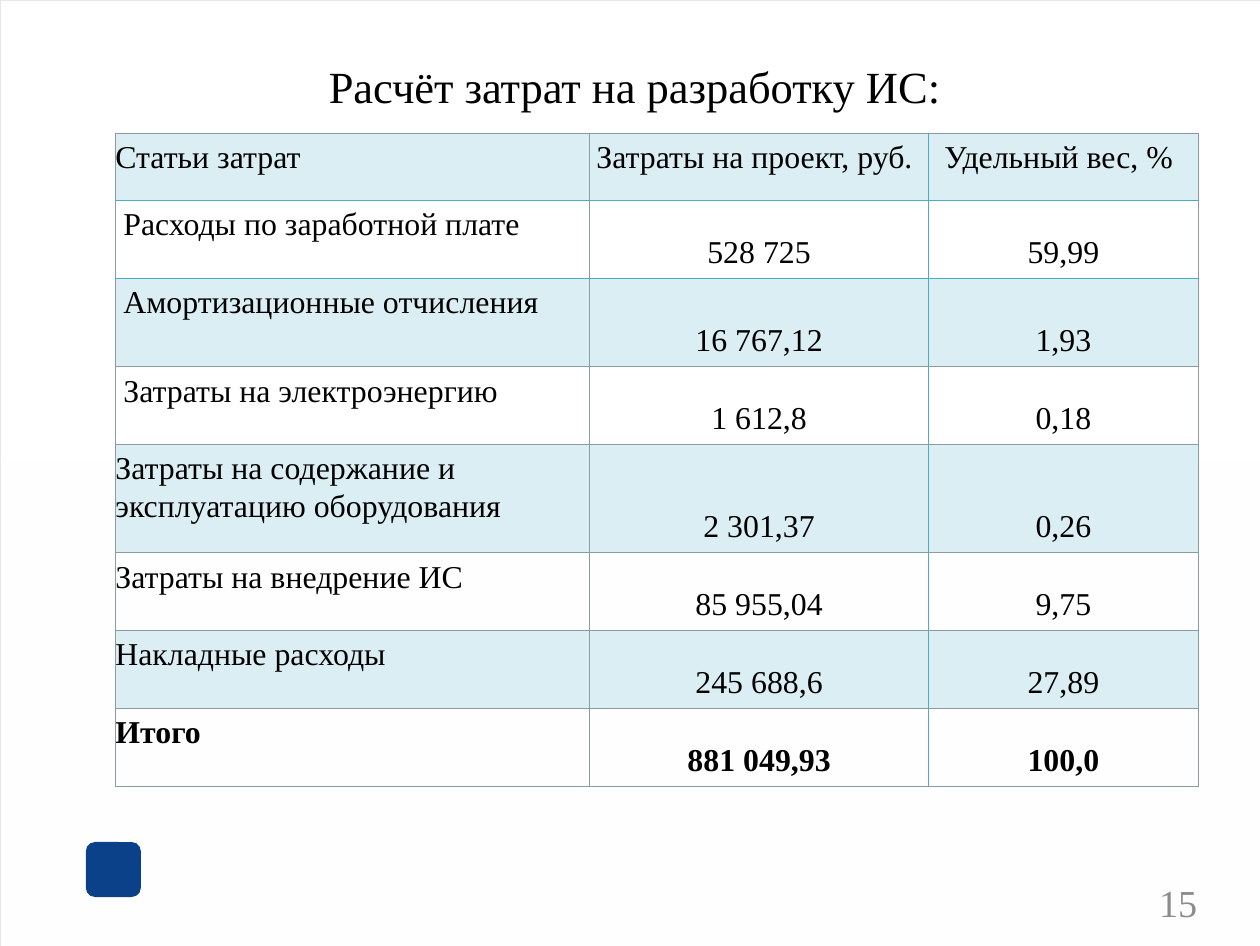
import pptx
import pptx.util
import pptx.dml.color
import pptx.enum.shapes
import pptx.enum.text
import pptx.oxml

Pt = pptx.util.Pt
ALIGN = pptx.enum.text.PP_ALIGN
ANCHOR = pptx.enum.text.MSO_ANCHOR
SHAPE = pptx.enum.shapes.MSO_SHAPE
FONT = "Times New Roman"
COLORS = {
    "text": "000000",
    "number": "8C8C8C",
    "panel": "FEFEFE",
    "frame": "E7E7E8",
    "mark": "0A4188",
    "band": "DBEEF4",
    "accent": "4BACC6",
    "grid": "8A9BA3",
}


def rgb(name):
    return pptx.dml.color.RGBColor.from_string(COLORS[name])


def add_run(p, text, size, color="text", bold=False):
    r = p.add_run()
    r.text = text
    r.font.name = FONT
    r.font.size = Pt(size)
    r.font.bold = bold
    r.font.color.rgb = rgb(color)


prs = pptx.Presentation()
prs.slide_width = Pt(792.72)
prs.slide_height = Pt(595.44)
s = prs.slides.add_slide(prs.slide_layouts[5])

for kind, box, fill, line in [
    (SHAPE.RECTANGLE, (0, 290.2, 792.72, 305.24), "panel", None),
    (SHAPE.RECTANGLE, (0, 0, 792.72, 595.44), None, "frame"),
    (SHAPE.ROUNDED_RECTANGLE, (54, 530, 34.6, 34.6), "mark", None),
]:
    sp = s.shapes.add_shape(kind, *[Pt(v) for v in box])
    sp.shadow.inherit = False
    if fill:
        sp.fill.solid()
        sp.fill.fore_color.rgb = rgb(fill)
    else:
        sp.fill.background()
    if line:
        sp.line.color.rgb = rgb(line)
        sp.line.width = Pt(0.5)
    else:
        sp.line.fill.background()

title = s.shapes.title
title.left, title.top, title.width, title.height = Pt(30.2), Pt(33.8), Pt(738), Pt(41)
s.shapes._spTree.append(title._element)
tf = title.text_frame
tf.word_wrap = True
tf.auto_size = pptx.enum.text.MSO_AUTO_SIZE.NONE
tf.vertical_anchor = ANCHOR.TOP
p = tf.paragraphs[0]
p.alignment = ALIGN.CENTER
add_run(p, "Расчёт затрат на разработку ИС:", 28)

number = s.shapes.add_textbox(Pt(571), Pt(553.7), Pt(182.2), Pt(28.8))
tf = number.text_frame
tf.word_wrap = True
tf.margin_left = tf.margin_top = tf.margin_right = tf.margin_bottom = 0
p = tf.paragraphs[0]
p.alignment = ALIGN.RIGHT
add_run(p, "15", 24, "number")

rows = [
    ("Статьи затрат", "Затраты на проект, руб.", "Удельный вес, %"),
    ("Расходы по заработной плате", "528 725", "59,99"),
    ("Амортизационные отчисления", "16 767,12", "1,93"),
    ("Затраты на электроэнергию", "1 612,8", "0,18"),
    ("Затраты на содержание и эксплуатацию оборудования", "2 301,37", "0,26"),
    ("Затраты на внедрение ИС", "85 955,04", "9,75"),
    ("Накладные расходы", "245 688,6", "27,89"),
    ("Итого", "881 049,93", "100,0"),
]
widths = [298.5, 213, 169.9]
heights = [42.4, 49, 55.6, 49, 68.2, 49, 49, 49]
indented = (1, 2, 3)

table = s.shapes.add_table(
    len(rows), len(widths), Pt(72.6), Pt(83.8), Pt(sum(widths)), Pt(sum(heights))
).table
table.first_row = False
table.horz_banding = False
for col, width in zip(table.columns, widths):
    col.width = Pt(width)
for row, height in zip(table.rows, heights):
    row.height = Pt(height)

for i, row in enumerate(rows):
    for j, text in enumerate(row):
        cell = table.cell(i, j)
        is_value = i > 0 and j > 0
        if is_value:
            cell.vertical_anchor = ANCHOR.BOTTOM
            margins = (0.7, 0.7, 0.7, 5)
        else:
            cell.vertical_anchor = ANCHOR.TOP
            margins = (5 if j == 0 and i in indented else 0, 2.9, 5.8, 0)
        cell.margin_left, cell.margin_top, cell.margin_right, cell.margin_bottom = map(Pt, margins)
        if i % 2 == 0:
            cell.fill.solid()
            cell.fill.fore_color.rgb = rgb("band")
        else:
            cell.fill.background()
        p = cell.text_frame.paragraphs[0]
        p.alignment = ALIGN.CENTER if j else ALIGN.LEFT
        p.line_spacing = 1.07
        p.space_after = Pt(8)
        add_run(p, text, 20, bold=i == len(rows) - 1)

        accents = {"L": j == 2, "R": j == 1, "T": i in (1, 2), "B": i in (0, 1)}
        tcPr = cell._tc.get_or_add_tcPr()
        for k, (side, accent) in enumerate(accents.items()):
            color = COLORS["accent" if accent else "grid"]
            width = Pt(1 if accent else 0.5)
            tcPr.insert(k, pptx.oxml.parse_xml(
                f'<a:ln{side} xmlns:a="http://schemas.openxmlformats.org/drawingml/2006/main" w="{width}">'
                f'<a:solidFill><a:srgbClr val="{color}"/></a:solidFill></a:ln{side}>'
            ))

prs.save("out.pptx")
